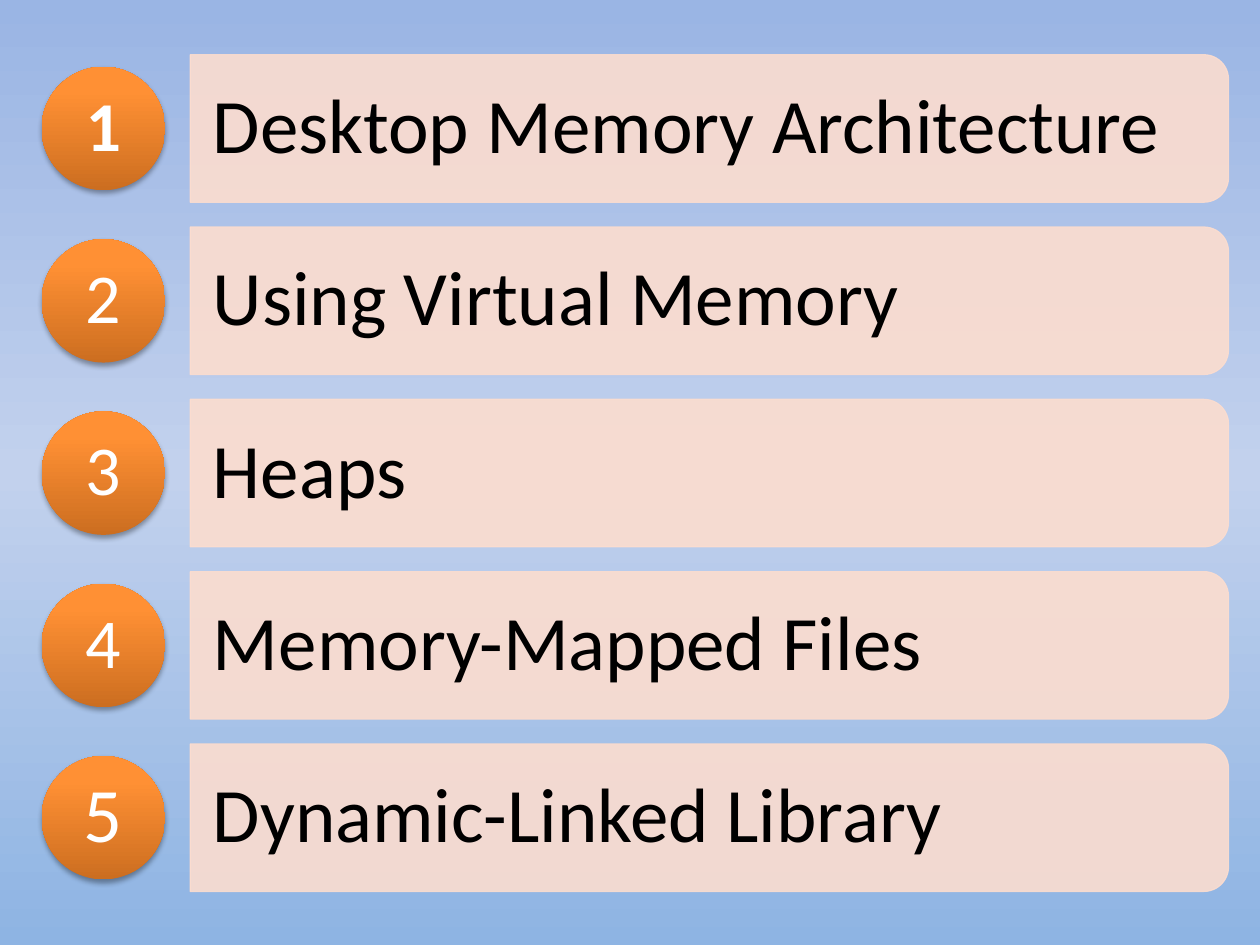
from lxml import etree
from pptx import Presentation
from pptx.dml.color import RGBColor
from pptx.enum.shapes import MSO_SHAPE as SHAPE
from pptx.enum.text import MSO_ANCHOR as ANCHOR, PP_ALIGN as ALIGN
from pptx.oxml import parse_xml
from pptx.oxml.ns import nsdecls, qn
from pptx.util import Inches, Pt

TOPICS = [
    ("1", "Desktop Memory Architecture", 40, True),
    ("2", "Using Virtual Memory", 40, False),
    ("3", "Heaps", 40, False),
    ("4", "Memory-Mapped Files", 40, False),
    ("5", "Dynamic-Linked Library", 44, False),
]
SKY = [(0, "9AB5E4"), (50, "C2D1ED"), (100, "8EB4E3")]
ORANGE = [(0, "CC6E20"), (80, "FF9034"), (100, "FF9136")]
PEACH = RGBColor(0xFC, 0xDD, 0xCF)
BLACK = RGBColor(0, 0, 0)
WHITE = RGBColor(0xFF, 0xFF, 0xFF)

FIRST_CENTER, LAST_CENTER = 1.02, 6.49
BAR_LEFT, BAR_LENGTH, BAR_HEIGHT = 1.51, 8.24, 1.17
TEXT_WIDTH, TEXT_HEIGHT = 8.18, 1.06
CIRCLE_LEFT, CIRCLE_SIZE = 0.33, 0.98

SHADOW = (
    f'<a:effectLst {nsdecls("a")}>'
    '<a:outerShdw blurRad="40000" dist="23000" dir="5400000" rotWithShape="0">'
    '<a:srgbClr val="000000"><a:alpha val="35000"/></a:srgbClr>'
    '</a:outerShdw></a:effectLst>'
)


def set_gradient(fill, element, stops, angle):
    fill.gradient()
    fill.gradient_angle = angle
    stop_list = next(element.iter(qn("a:gsLst")))
    for old in list(stop_list):
        stop_list.remove(old)
    for pos, color in stops:
        stop = etree.SubElement(stop_list, qn("a:gs"), pos=str(pos * 1000))
        etree.SubElement(stop, qn("a:srgbClr"), val=color)


def write(shape, text, size, color, align, bold=False, inset=(0, 0)):
    tf = shape.text_frame
    tf.word_wrap = True
    tf.vertical_anchor = ANCHOR.MIDDLE
    tf.margin_left = tf.margin_right = Inches(inset[0])
    tf.margin_top = tf.margin_bottom = Inches(inset[1])
    p = tf.paragraphs[0]
    p.text = text
    p.alignment = align
    p.line_spacing = 0.9
    p.font.name = "Calibri"
    p.font.size = Pt(size)
    p.font.bold = bold
    p.font.color.rgb = color


def add_bar(center):
    bar = s.shapes.add_shape(
        SHAPE.ROUND_2_SAME_RECTANGLE,
        Inches(BAR_LEFT + (BAR_LENGTH - BAR_HEIGHT) / 2),
        Inches(center - BAR_LENGTH / 2),
        Inches(BAR_HEIGHT), Inches(BAR_LENGTH))
    bar.rotation = 90
    bar.shadow.inherit = False
    bar.fill.solid()
    bar.fill.fore_color.rgb = PEACH
    bar.line.color.rgb = PEACH
    bar.line.width = Pt(0.75)
    for color in bar._element.spPr.iter(qn("a:srgbClr")):
        etree.SubElement(color, qn("a:alpha"), val="90000")


def add_title(center, text):
    box = s.shapes.add_textbox(
        Inches(BAR_LEFT), Inches(center - TEXT_HEIGHT / 2),
        Inches(TEXT_WIDTH), Inches(TEXT_HEIGHT))
    write(box, text, 44, BLACK, ALIGN.LEFT, inset=(0.18, 0.12))


def add_circle(center, number, size, bold):
    circle = s.shapes.add_shape(
        SHAPE.OVAL, Inches(CIRCLE_LEFT), Inches(center - CIRCLE_SIZE / 2),
        Inches(CIRCLE_SIZE), Inches(CIRCLE_SIZE))
    set_gradient(circle.fill, circle._element.spPr, ORANGE, 90)
    circle.line.fill.background()
    circle._element.spPr.append(parse_xml(SHADOW))
    write(circle, number, size, WHITE, ALIGN.CENTER, bold)


prs = Presentation()
prs.slide_width, prs.slide_height = Inches(10), Inches(7.5)
s = prs.slides.add_slide(prs.slide_layouts[6])
set_gradient(s.background.fill, s._element, SKY, 270)

pitch = (LAST_CENTER - FIRST_CENTER) / (len(TOPICS) - 1)
for i, (number, title, size, bold) in enumerate(TOPICS):
    center = FIRST_CENTER + i * pitch
    add_bar(center)
    add_title(center, title)
    add_circle(center, number, size, bold)

prs.save("out.pptx")
